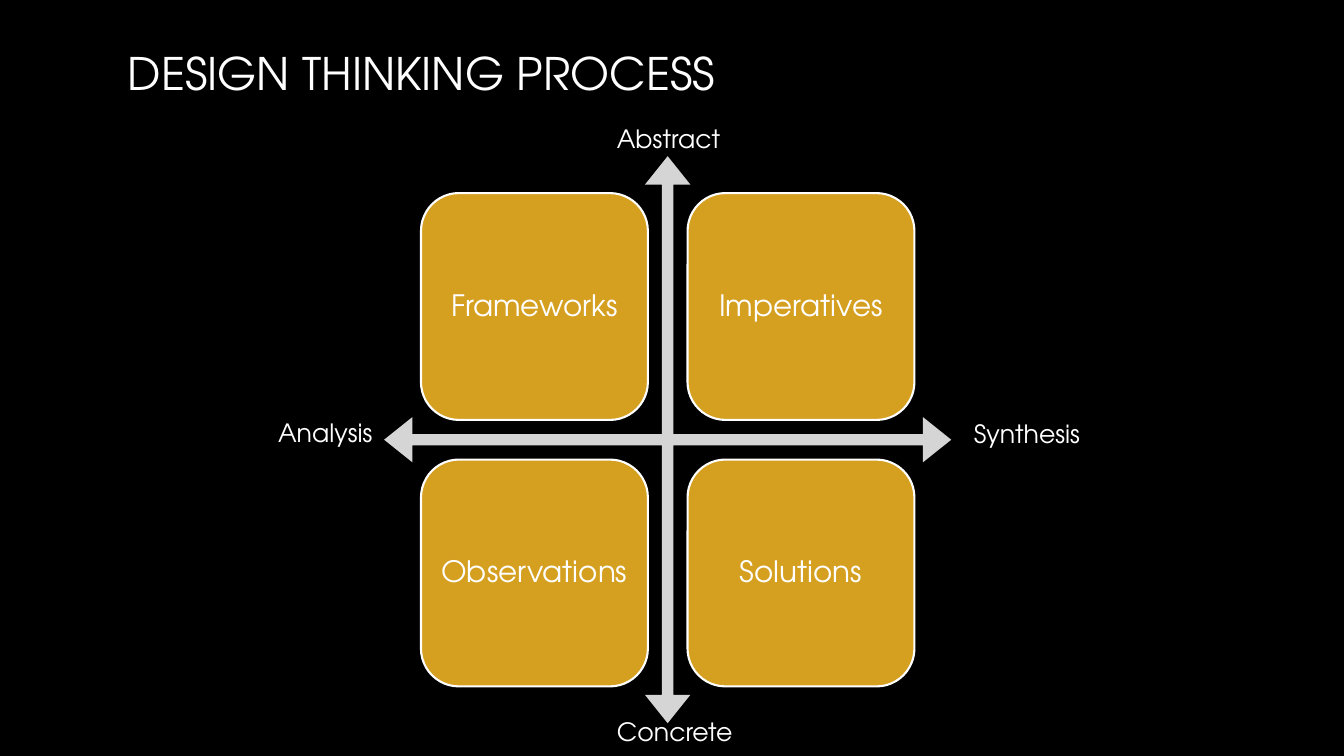
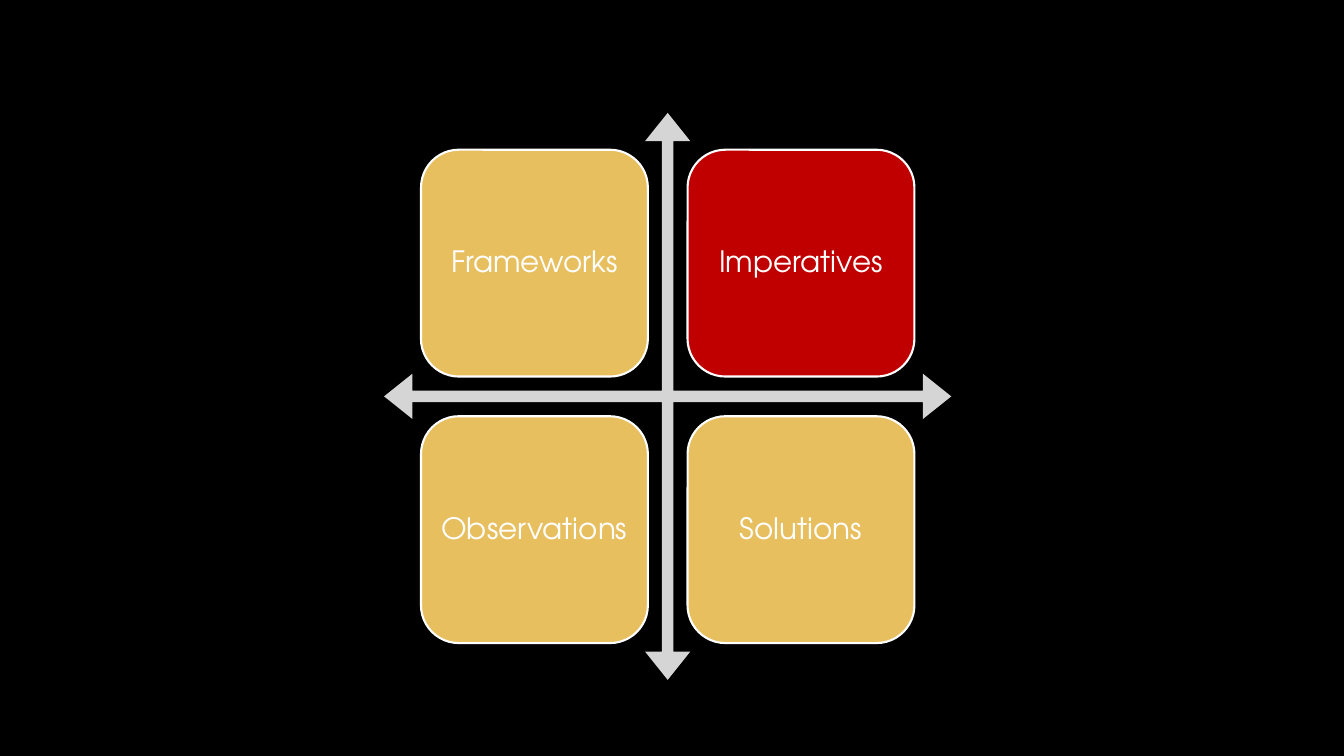
from pptx import Presentation
from pptx import util as u
from pptx.dml.color import RGBColor
from pptx.enum import shapes, text

WIDTH, HEIGHT = 13.33, 7.5
COLORS = {
    "background": "000000",
    "text": "FFFFFF",
    "axes": "D5D5D5",
    "stage": "D59F20",
    "muted": "E7BF5F",
    "highlight": "C00000",
}
FONT = "TeX Gyre Adventor"
SIZES = {"title": 32, "stage": 21, "label": 18}
STAGES = [["Frameworks", "Imperatives"], ["Observations", "Solutions"]]
MATRIX_LEFT = 3.81
MATRIX_SIZE = 0.75 * HEIGHT
MARGIN, TILE, PITCH = (share * MATRIX_SIZE for share in (0.065, 0.4, 0.47))
AXIS_LABELS = [
    ("Synthesis", 9.56, 4.1, 1.27),
    ("Analysis", 2.66, 4.09, 1.14),
    ("Abstract", 6.02, 1.17, 1.27),
    ("Concrete", 6.02, 7.06, 1.41),
]


def color(name):
    return RGBColor.from_string(COLORS[name])


def apply(target, values):
    for name, value in values.items():
        setattr(target, name, value)


def write(shape, words, role, frame_format, paragraph_format=None):
    frame = shape.text_frame
    apply(frame, {"word_wrap": True, **frame_format})
    paragraph = frame.paragraphs[0]
    apply(paragraph, paragraph_format or {})
    run = paragraph.add_run()
    run.text = words
    apply(run.font, {"name": FONT, "size": u.Pt(SIZES[role])})
    run.font.color.rgb = color("text")


def add_text(slide, words, role, box, **frame_format):
    shape = slide.shapes.add_textbox(*map(u.Inches, box))
    write(shape, words, role, frame_format)


def add_figure(slide, kind, box, fill):
    figure = slide.shapes.add_shape(kind, *map(u.Inches, box))
    figure.shadow.inherit = False
    figure.fill.solid()
    figure.fill.fore_color.rgb = color(fill)
    figure.line.fill.background()
    return figure


def add_axes(slide, top):
    box = (MATRIX_LEFT, top, MATRIX_SIZE, MATRIX_SIZE)
    axes = add_figure(slide, shapes.MSO_SHAPE.QUAD_ARROW, box, "axes")
    for index, share in enumerate((0.02, 0.04, 0.05)):
        axes.adjustments[index] = share


def add_stage(slide, name, box, fill):
    stage = add_figure(slide, shapes.MSO_SHAPE.ROUNDED_RECTANGLE, box, fill)
    stage.line.color.rgb = color("text")
    stage.line.width = u.Pt(1.5)
    sides = ("left", "top", "right", "bottom")
    frame_format = {f"margin_{side}": u.Inches(0.09) for side in sides}
    frame_format["vertical_anchor"] = text.MSO_ANCHOR.MIDDLE
    write(stage, name, "stage", frame_format,
          {"alignment": text.PP_ALIGN.CENTER, "line_spacing": 0.9})


def add_matrix(slide, top, fill, highlighted=None):
    add_axes(slide, top)
    for row, names in enumerate(STAGES):
        for column, name in enumerate(names):
            box = (MATRIX_LEFT + MARGIN + column * PITCH,
                   top + MARGIN + row * PITCH, TILE, TILE)
            add_stage(slide, name, box,
                      "highlight" if name == highlighted else fill)


def main():
    deck = Presentation()
    apply(deck, {"slide_width": u.Inches(WIDTH), "slide_height": u.Inches(HEIGHT)})
    backdrop = deck.slide_master.background.fill
    backdrop.solid()
    backdrop.fore_color.rgb = color("background")
    blank = deck.slide_layouts[6]

    process = deck.slides.add_slide(blank)
    add_text(process, "DESIGN THINKING PROCESS", "title", (1.17, 0.22, 11, 1),
             vertical_anchor=text.MSO_ANCHOR.MIDDLE)
    add_matrix(process, 1.55, "stage")
    for words, left, top, width in AXIS_LABELS:
        add_text(process, words, "label", (left, top, width, 0.4),
                 auto_size=text.MSO_AUTO_SIZE.SHAPE_TO_FIT_TEXT)

    focus = deck.slides.add_slide(blank)
    add_matrix(focus, 1.12, "muted", "Imperatives")

    deck.save("out.pptx")


if __name__ == "__main__":
    main()
